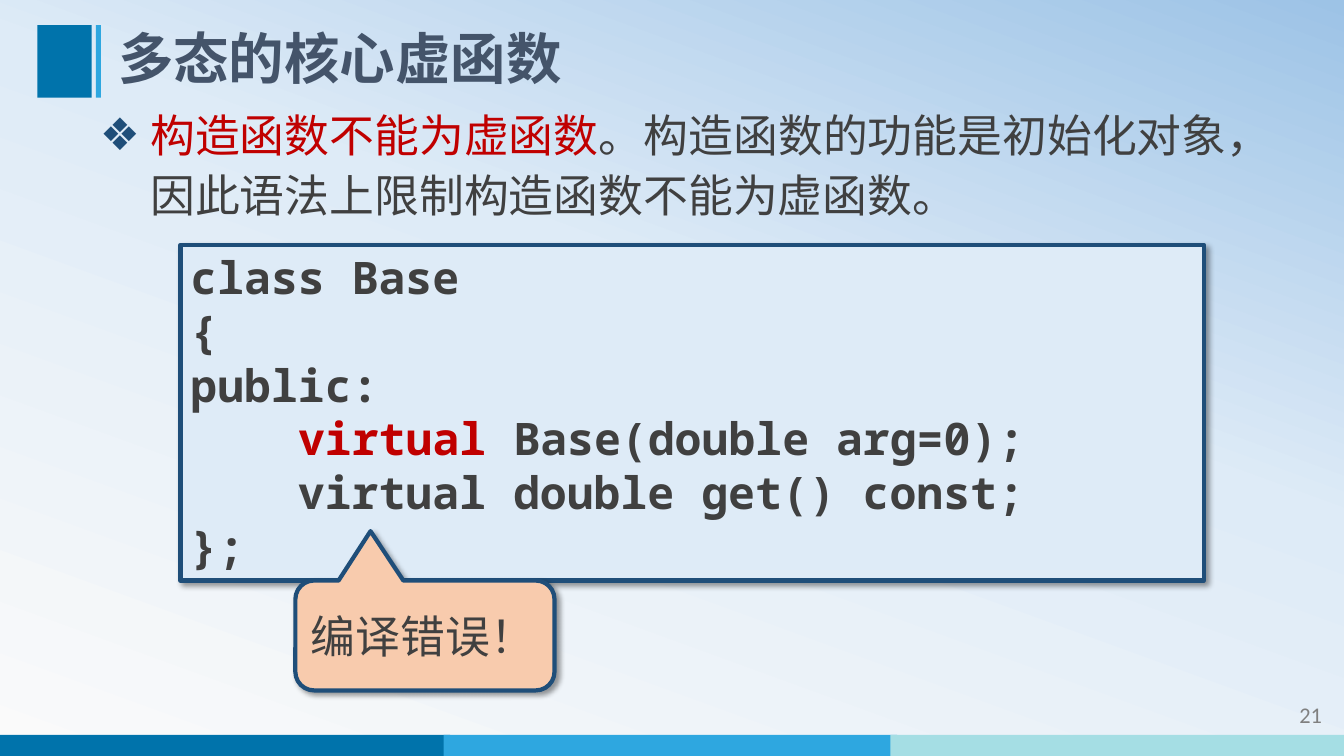
from copy import deepcopy
from lxml import etree
from pptx import Presentation
from pptx.dml.color import RGBColor as Rgb
from pptx.enum.shapes import MSO_SHAPE as Kind
from pptx.enum.text import MSO_ANCHOR as Anchor, MSO_AUTO_SIZE as Fit, PP_ALIGN as Align
from pptx.oxml.ns import qn
from pptx.util import Inches, Pt

WIDE, HIGH = Inches(13.33), Inches(7.5)
SANS, MONO = "Noto Sans CJK SC", "Noto Sans Mono"
HUES = {
    "deep": "0073AB", "sky": "2EA7E0", "mint": "A5DEE4",
    "navy": "1F4E79", "slate": "44546A", "ink": "404040",
    "red": "C00000", "gray": "808080", "peach": "F8CBAD",
    "pale": "DEEBF7", "white": "FAFAFA", "blue": "9DC3E6", "black": "000000",
}
CODE = [
    ["class Base"],
    ["{"],
    ["public:"],
    ["    ", ("virtual", "red"), " Base(double arg=0);"],
    ["    virtual double get() const;"],
    ["};"],
]


def tint(name):
    return Rgb.from_string(HUES[name])


def area(x, y, w, h):
    return [round(v * full / 100) for v, full in zip((x, y, w, h), (WIDE, HIGH) * 2)]


def place(item, *cell):
    item.left, item.top, item.width, item.height = area(*cell)
    return item


def write(item, lines, size=32, font=SANS, hue="ink", bold=False, align=Align.LEFT,
          anchor=Anchor.TOP, fit=Fit.NONE, space=None, mark=None):
    frame = item.text_frame
    frame.word_wrap, frame.auto_size, frame.vertical_anchor = True, fit, anchor
    for n, line in enumerate(lines):
        para = frame.add_paragraph() if n else frame.paragraphs[0]
        if mark:
            dot(para, mark)
        para.alignment, para.space_before = align, Pt(0)
        if space:
            para.line_spacing = space
        for part in line:
            text, shade = (part, hue) if isinstance(part, str) else part
            run = para.add_run()
            run.text = text
            run.font.size, run.font.name, run.font.bold = Pt(size), font, bold
            run.font.color.rgb = tint(shade)
            etree.SubElement(run.font._element, qn("a:ea"), typeface=font)


def dot(para, mark):
    props = para._p.get_or_add_pPr()
    props.set("marL", str(Inches(0.62)))
    props.set("indent", str(Inches(-0.5)))
    paint = etree.SubElement(props, qn("a:buClr"))
    etree.SubElement(paint, qn("a:srgbClr"), val=HUES["navy"])
    etree.SubElement(props, qn("a:buChar"), char=mark)


def block(slide, cell, hue, kind=Kind.RECTANGLE):
    item = slide.shapes.add_shape(kind, *area(*cell))
    item.shadow.inherit = False
    item.fill.solid()
    item.fill.fore_color.rgb = tint(hue)
    item.line.fill.background()
    return item


def panel(slide, cell, hue, kind=Kind.RECTANGLE):
    item = block(slide, cell, hue, kind)
    item.line.color.rgb, item.line.width = tint("navy"), Pt(3)
    glow = item._element.spPr.find(qn("a:effectLst"))
    shade = etree.SubElement(glow, qn("a:outerShdw"), blurRad=str(Pt(4)),
                             dist=str(Pt(3)), dir="2700000", algn="tl", rotWithShape="0")
    paint = etree.SubElement(shade, qn("a:srgbClr"), val=HUES["black"])
    etree.SubElement(paint, qn("a:alpha"), val="40000")
    return item


def wash(slide):
    fill = slide.background.fill
    fill.gradient()
    fill.gradient_angle = 70
    first = slide._element.find(".//" + qn("a:gs"))
    first.addnext(deepcopy(first))
    for stop, (spot, hue) in zip(fill.gradient_stops, ((0, "white"), (0.58, "pale"), (1, "blue"))):
        stop.position, stop.color.rgb = spot, tint(hue)


def main():
    deck = Presentation()
    deck.slide_width, deck.slide_height = WIDE, HIGH
    slide = deck.slides.add_slide(deck.slide_layouts[1])
    wash(slide)

    for n, hue in enumerate(("deep", "sky", "mint")):
        block(slide, (-0.25 + 33.25 * n, 97.2, 33.75, 2.8), hue)
    for x, w, hue in ((2.78, 4.05, "deep"), (7.13, 0.38, "sky")):
        block(slide, (x, 3.33, w, 9.6), hue)
    page = slide.shapes.add_textbox(*area(87.17, 92.13, 11.93, 5.33))
    write(page, [["21"]], size=16, font="Calibri", hue="gray", align=Align.RIGHT)

    title = place(slide.shapes.title, 8.03, 3.33, 81.47, 9.6)
    write(title, [["多态的核心虚函数"]], size=39.6, hue="slate", bold=True,
          anchor=Anchor.MIDDLE, space=0.9)
    body = place(slide.placeholders[1], 5.78, 12.93, 88.45, 24.8)
    write(body, [[("构造函数不能为虚函数", "red"),
                  "。构造函数的功能是初始化对象，因此语法上限制构造函数不能为虚函数。"]],
          space=1.1, mark="❖")

    code = panel(slide, (13.43, 32.4, 76.14, 44.4), "pale")
    write(code, CODE, font=MONO, bold=True, fit=Fit.SHAPE_TO_FIT_TEXT)
    note = panel(slide, (21.98, 76.8, 19.28, 14.53), "peach", Kind.ROUNDED_RECTANGULAR_CALLOUT)
    for n, bend in enumerate((-0.21, -0.95, 0.17)):
        note.adjustments[n] = bend
    write(note, [["编译错误！"]], anchor=Anchor.MIDDLE)

    deck.save("out.pptx")


if __name__ == "__main__":
    main()
